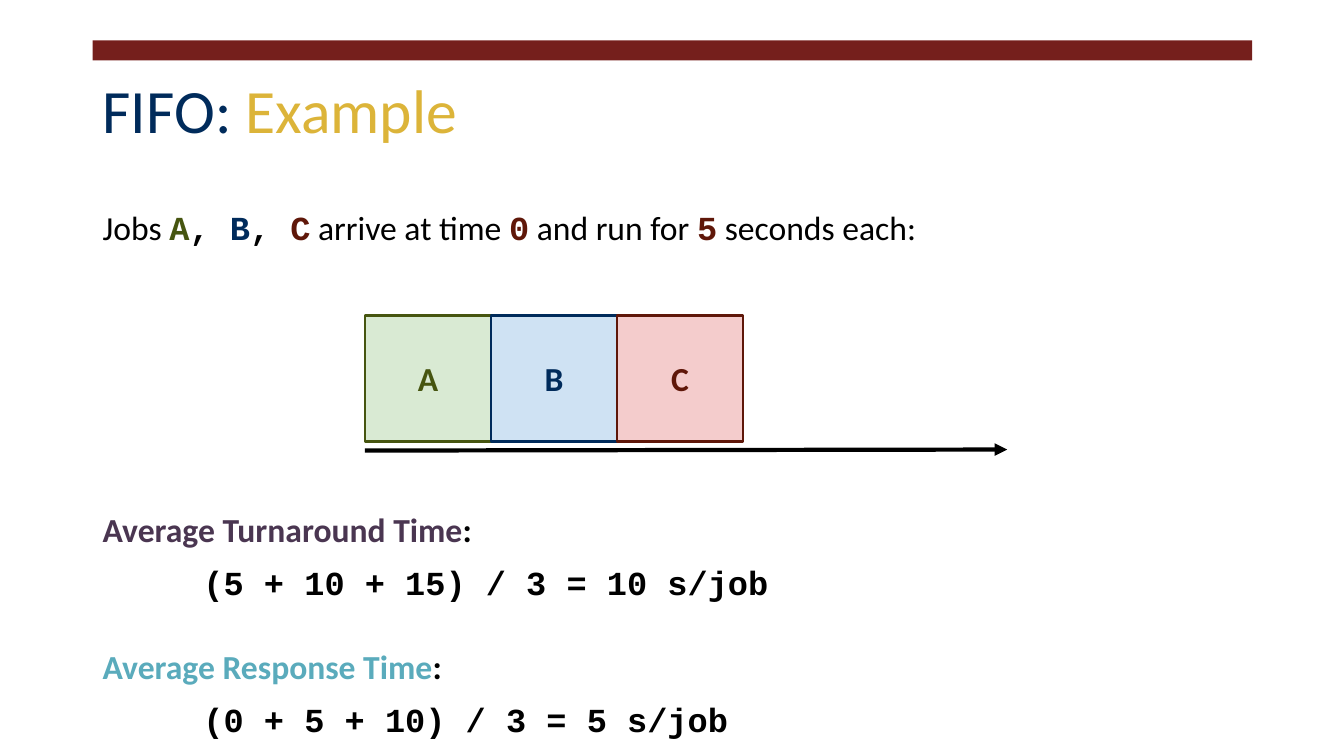
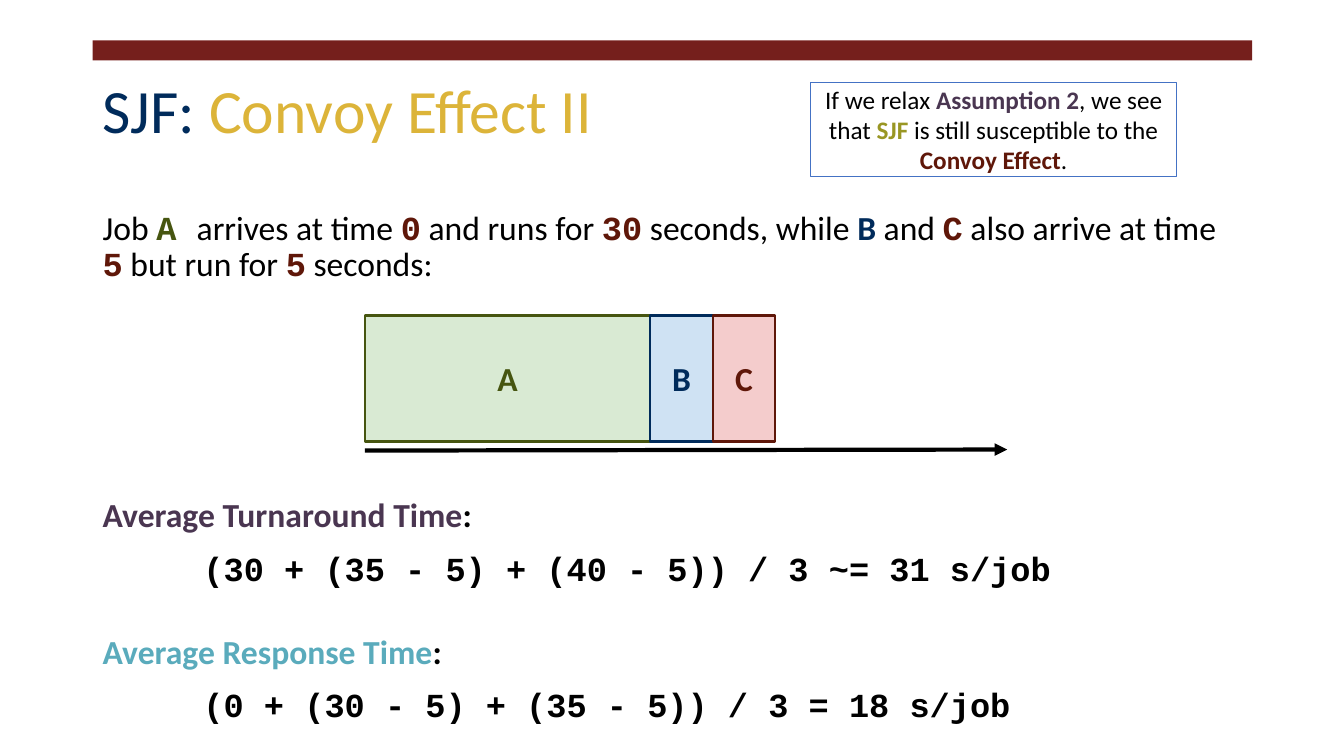
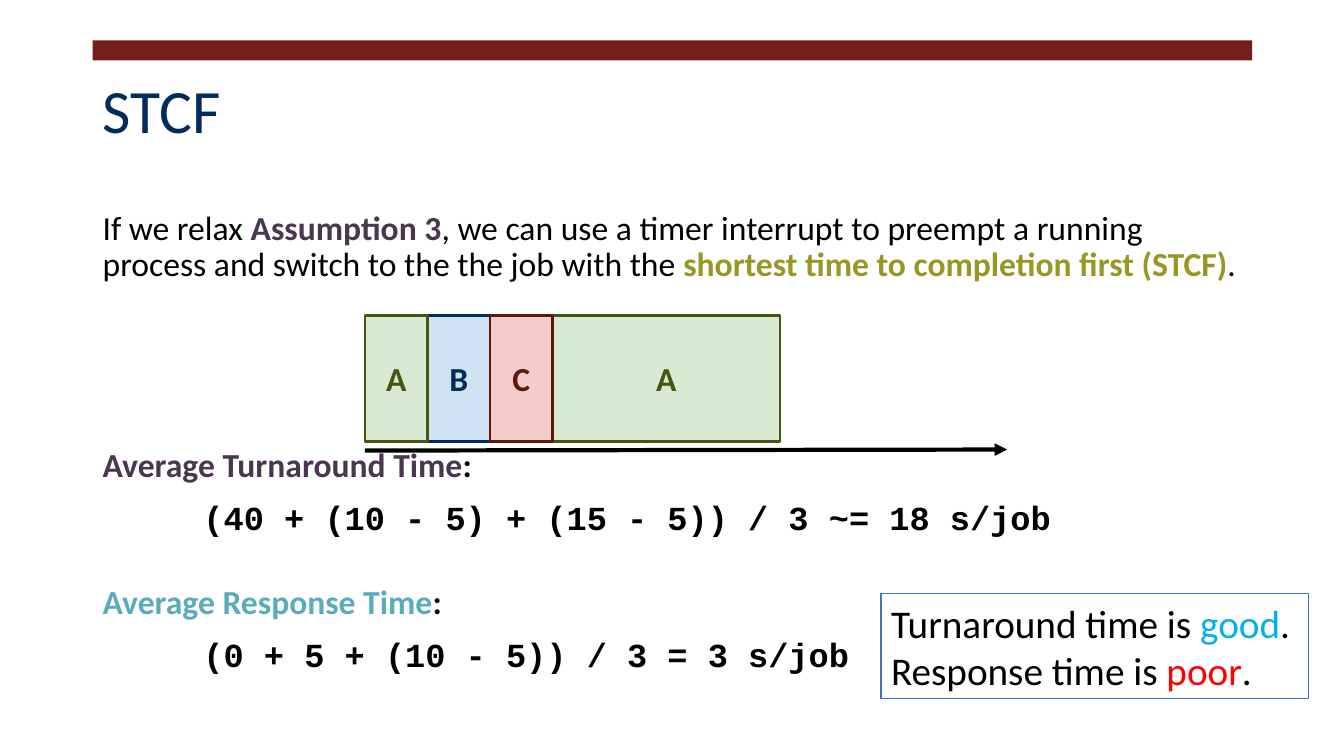
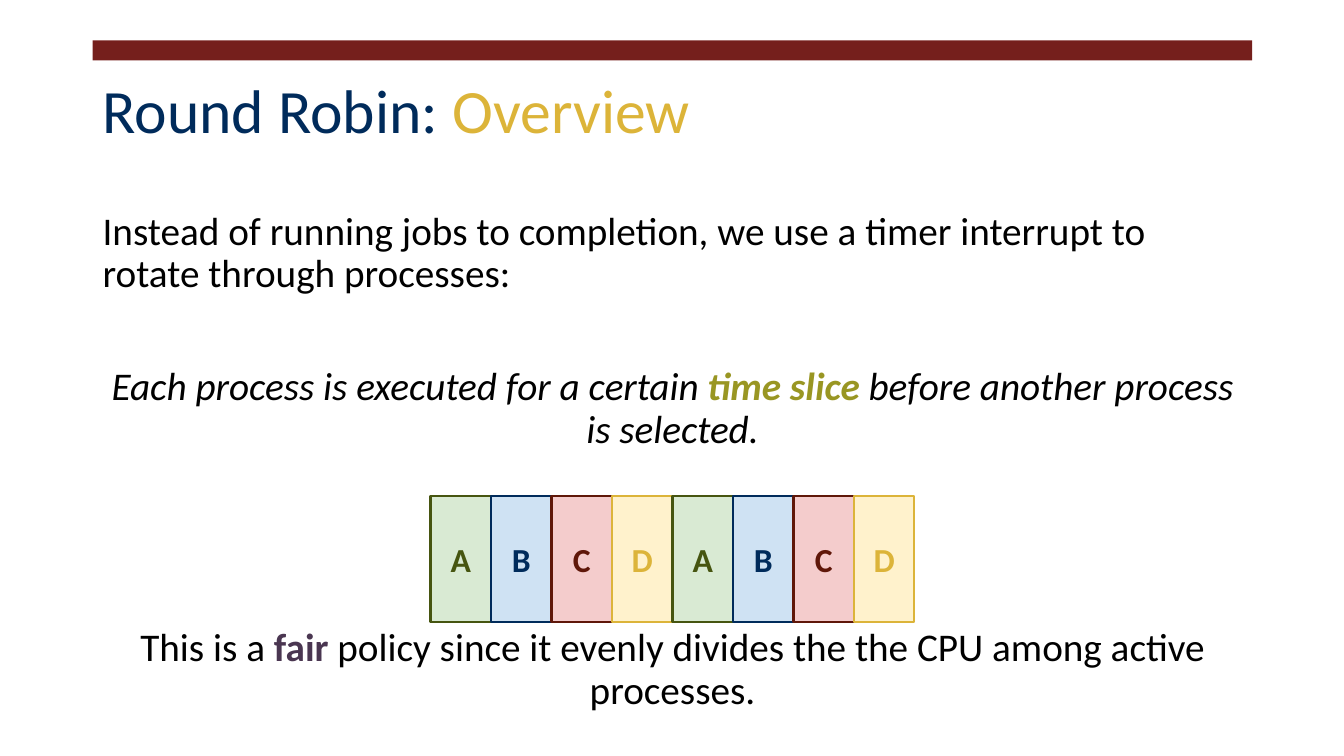
from itertools import accumulate

from lxml import etree
from pptx import Presentation
from pptx.dml.color import RGBColor
from pptx.enum.shapes import MSO_CONNECTOR, MSO_SHAPE
from pptx.enum.text import MSO_ANCHOR, PP_ALIGN
from pptx.oxml.ns import qn
from pptx.util import Emu, Pt

PX = 9144
SANS, MONO = "Calibri", "Courier New"
BLACK, WHITE, BAND, FRAME = "000000", "FFFFFF", "751F1C", "4472C4"
GREEN, NAVY, MAROON, GOLD = "465510", "002B5B", "5F1709", "DCB439"
PURPLE, TEAL, OLIVE = "4A3651", "5AABBC", "999623"

STYLES = {
    "title": {"color": NAVY},
    "subtitle": {"color": GOLD},
    "code": {"font": MONO, "bold": True},
    "code A": {"font": MONO, "bold": True, "color": GREEN},
    "code B": {"font": MONO, "bold": True, "color": NAVY},
    "code C": {"font": MONO, "bold": True, "color": MAROON},
    "number": {"font": MONO, "bold": True, "color": MAROON},
    "job B": {"bold": True, "color": NAVY},
    "purple": {"bold": True, "color": PURPLE},
    "teal": {"bold": True, "color": TEAL},
    "olive": {"bold": True, "color": OLIVE},
    "maroon": {"bold": True, "color": MAROON},
    "bold": {"bold": True},
    "good": {"color": "00B0F0"},
    "poor": {"color": "FF0000"},
}

JOBS = {
    "A": ("D9EAD3", GREEN),
    "B": ("CFE2F3", NAVY),
    "C": ("F4CCCC", MAROON),
    "D": ("FFF2CC", GOLD),
}

SLIDES = [
    {
        "title": [("FIFO: ", "title"), ("Example", "subtitle")],
        "texts": [(200, 24, {}, [
            "Jobs ", ("A", "code A"), (", ", "code"), ("B", "code B"), (", ", "code"),
            ("C", "code C"), " arrive at time ", ("0", "number"), " and run for ",
            ("5", "number"), " seconds each:"])],
        "jobs": [("A", 125), ("B", 125), ("C", 125)],
        "metrics": (499, "(5 + 10 + 15) / 3 = 10 s/job", "(0 + 5 + 10) / 3 = 5 s/job"),
    },
    {
        "title": [("SJF: ", "title"), ("Convoy Effect II", "subtitle")],
        "texts": [(200, 24, {}, [
            "Job ", ("A ", "code A"), "arrives at time ", ("0", "number"),
            " and runs for ", ("30", "number"), " seconds, while ", ("B", "job B"),
            " and ", ("C", "code C"), " also arrive at time ", ("5", "number"),
            " but run for ", ("5", "number"), " seconds:"])],
        "jobs": [("A", 283), ("B", 62), ("C", 62)],
        "metrics": (485, "(30 + (35 - 5) + (40 - 5)) / 3 ~= 31 s/job",
                    "(0 + (30 - 5) + (35 - 5)) / 3 = 18 s/job"),
        "callout": ((804, 82, 363, 93), {"size": 18, "align": PP_ALIGN.CENTER}, [[
            "If we relax ", ("Assumption 2", "purple"), ", we see that ", ("SJF", "olive"),
            " is still susceptible to the ", ("Convoy Effect", "maroon"), "."]]),
    },
    {
        "title": [("STCF", "title")],
        "texts": [(200, 24, {}, [
            "If we relax ", ("Assumption 3", "purple"),
            ", we can use a timer interrupt to preempt a running process and switch "
            "to the the job with the ",
            ("shortest time to completion first (STCF)", "olive"), "."])],
        "jobs": [("A", 62), ("B", 62), ("C", 62), ("A", 226)],
        "drawing order": (3, 1, 2, 0),
        "metrics": (435, "(40 + (10 - 5) + (15 - 5)) / 3 ~= 18 s/job",
                    "(0 + 5 + (10 - 5)) / 3 = 3 s/job"),
        "callout": ((874, 589, 424, 104), {"size": 28}, [
            ["Turnaround time is ", ("good", "good"), "."],
            ["Response time is ", ("poor", "poor"), "."]]),
    },
    {
        "title": [("Round Robin: ", "title"), ("Overview", "subtitle")],
        "texts": [
            (200, 28, {}, ["Instead of running jobs to completion, we use a timer "
                           "interrupt to rotate through processes:"]),
            (354, 28, {"align": PP_ALIGN.CENTER, "italic": True}, [
                "Each process is executed for a certain ", ("time slice", "olive"),
                " before another process is selected."]),
            (613, 28, {"align": PP_ALIGN.CENTER}, [
                "This is a ", ("fair", "purple"),
                " policy since it evenly divides the the CPU among active processes."]),
        ],
        "jobs": [(name, 60) for name in "ABCDABCD"],
        "jobs at": (427, 492),
    },
]


def px(*values):
    return [Emu(value * PX) for value in values]


def rgb(value):
    return RGBColor.from_string(value)


def write(shape, paragraphs, size=24, align=PP_ALIGN.LEFT, anchor=MSO_ANCHOR.MIDDLE,
          line_spacing=1.0, spaces=(), indents=(), italic=False, color=BLACK, bold=False,
          inset=10):
    frame = shape.text_frame
    frame.word_wrap = True
    frame.vertical_anchor = anchor
    frame.margin_left = frame.margin_right = Emu(10 * PX)
    frame.margin_top = frame.margin_bottom = Emu(inset * PX)
    for index, runs in enumerate(paragraphs):
        paragraph = frame.add_paragraph() if index else frame.paragraphs[0]
        paragraph.alignment = align
        paragraph.line_spacing = line_spacing
        if spaces:
            paragraph.space_before = Pt(spaces[index])
        if indents:
            paragraph._p.get_or_add_pPr().set("marL", str(indents[index] * PX))
        for item in runs:
            text, style = (item, None) if isinstance(item, str) else item
            look = STYLES.get(style, {})
            run = paragraph.add_run()
            run.text = text
            font = run.font
            font.name = look.get("font", SANS)
            font.size = Pt(size)
            font.bold = look.get("bold", bold)
            font.italic = italic
            font.color.rgb = rgb(look.get("color", color))


def add_box(slide, place, fill, line=None, width=1):
    shape = slide.shapes.add_shape(MSO_SHAPE.RECTANGLE, *px(*place))
    shape.shadow.inherit = False
    shape.fill.solid()
    shape.fill.fore_color.rgb = rgb(fill)
    if line:
        shape.line.color.rgb = rgb(line)
        shape.line.width = Pt(width)
    else:
        shape.line.fill.background()
    return shape


def add_body(slide, top, height, paragraphs, **look):
    box = slide.shapes.add_textbox(*px(92, top, 1150, height))
    write(box, paragraphs, line_spacing=0.9, **look)


def add_metrics(slide, top, turnaround, response):
    paragraphs = [
        [("Average Turnaround Time", "purple"), (":", "bold")],
        [(turnaround, "code")],
        [("Average Response Time", "teal"), (":", "bold")],
        [(response, "code")],
    ]
    add_body(slide, top, 230, paragraphs, anchor=MSO_ANCHOR.TOP,
             spaces=(0, 12, 34, 12), indents=(0, 100, 0, 100))


def add_time_arrow(slide):
    arrow = slide.shapes.add_connector(MSO_CONNECTOR.STRAIGHT, *px(362, 447, 999, 446))
    arrow.line.color.rgb = rgb(BLACK)
    arrow.line.width = Pt(3)
    etree.SubElement(arrow.line._get_or_add_ln(), qn("a:tailEnd"), type="triangle")
    etree.SubElement(arrow._element.spPr, qn("a:effectLst"))


def add_jobs(slide, jobs, left, top, order):
    lefts = list(accumulate((width for _, width in jobs), initial=left))
    for index in order:
        name, width = jobs[index]
        fill, color = JOBS[name]
        box = add_box(slide, (lefts[index], top, width, 125), fill, color, 1.5)
        write(box, [[name]], align=PP_ALIGN.CENTER, color=color, bold=True)


def build_slide(presentation, content):
    slide = presentation.slides.add_slide(presentation.slide_layouts[6])
    add_box(slide, (92, 40, 1150, 20), BAND)
    add_body(slide, 40, 145, [content["title"]], size=44)
    for top, size, look, runs in content["texts"]:
        add_body(slide, top, 100, [runs], size=size, anchor=MSO_ANCHOR.TOP, **look)
    if "metrics" in content:
        add_metrics(slide, *content["metrics"])
        add_time_arrow(slide)
    jobs = content["jobs"]
    add_jobs(slide, jobs, *content.get("jobs at", (362, 313)),
             content.get("drawing order", range(len(jobs))))
    if "callout" in content:
        place, look, paragraphs = content["callout"]
        write(add_box(slide, place, WHITE, FRAME), paragraphs, inset=5, **look)


def main():
    presentation = Presentation()
    presentation.slide_width, presentation.slide_height = px(1333, 750)
    for content in SLIDES:
        build_slide(presentation, content)
    presentation.save("out.pptx")


if __name__ == "__main__":
    main()
